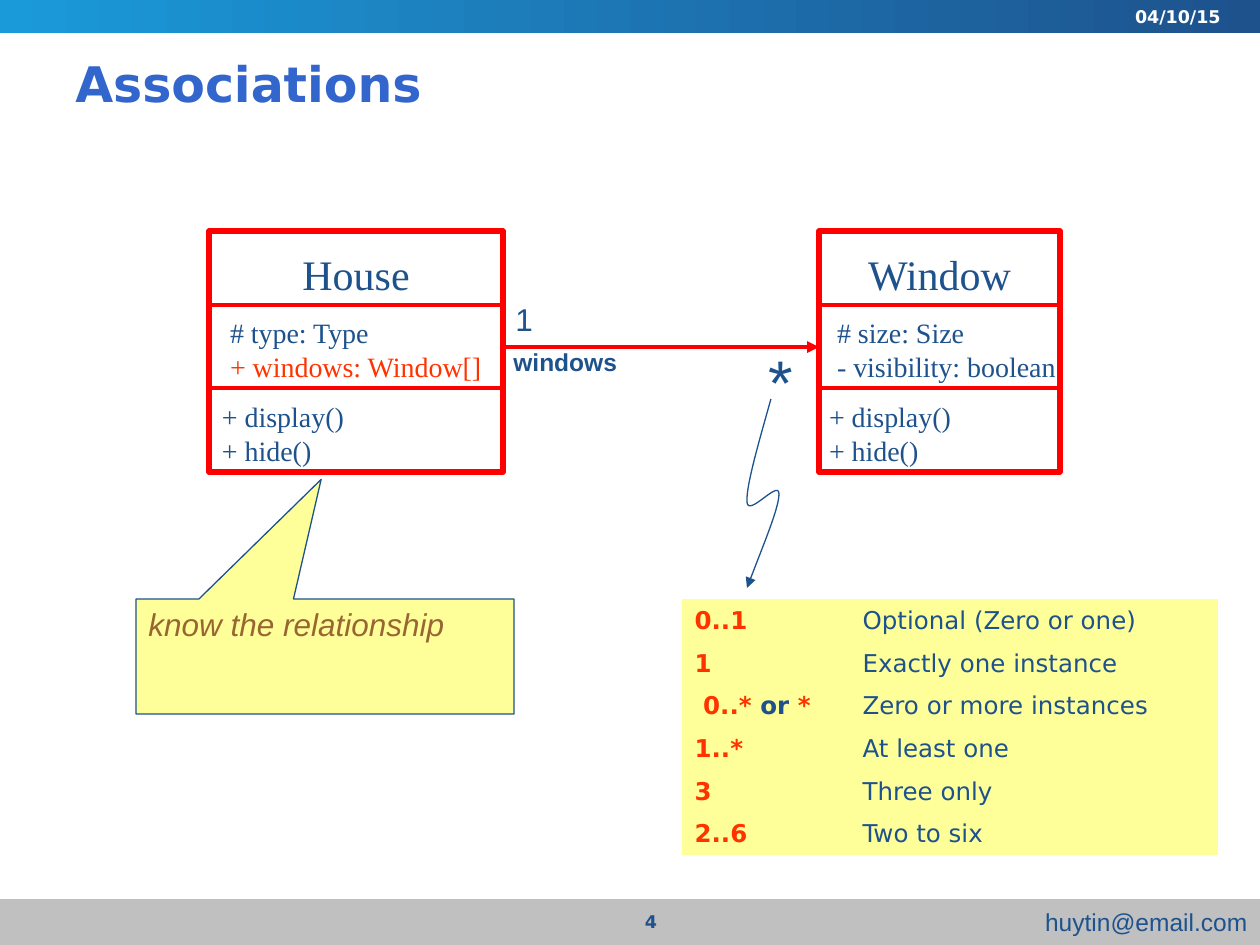
"""Build the Associations slide with two linked UML classes and a multiplicity table."""
from typing import NamedTuple

from lxml import etree
from pptx import Presentation
from pptx import util as u
from pptx.dml.color import RGBColor
from pptx.enum import shapes, text
from pptx.oxml.ns import qn

PX = 914400 / 126
NAVY = RGBColor(0x1D, 0x52, 0x8D)
SKY = RGBColor(0x1B, 0x9A, 0xD9)
TITLE_BLUE = RGBColor(0x33, 0x66, 0xCC)
RED = RGBColor(0xFF, 0x00, 0x00)
ORANGE = RGBColor(0xFF, 0x33, 0x00)
BROWN = RGBColor(0x99, 0x66, 0x33)
YELLOW = RGBColor(0xFF, 0xFF, 0x99)
GRAY = RGBColor(0xC0, 0xC0, 0xC0)
WHITE = RGBColor(0xFF, 0xFF, 0xFF)
SANS, SERIF, ARIAL = "DejaVu Sans", "Times New Roman", "Arial"
LEFT, CENTER, RIGHT = text.PP_ALIGN.LEFT, text.PP_ALIGN.CENTER, text.PP_ALIGN.RIGHT
TOP, MIDDLE = text.MSO_ANCHOR.TOP, text.MSO_ANCHOR.MIDDLE
NO_STYLE_NO_GRID = "{2D5ABB26-0587-4C30-8999-92F81FD0307C}"


class Area(NamedTuple):
    left: int
    top: int
    width: int
    height: int


class Style(NamedTuple):
    font: str
    size: int
    bold: bool = False
    italic: bool = False


class Span(NamedTuple):
    words: str
    color: RGBColor = NAVY


class UmlClass(NamedTuple):
    name: str
    left: int
    width: int
    inset: int
    attributes: list[Span]


class Label(NamedTuple):
    words: str
    area: Area
    style: Style


class Multiplicity(NamedTuple):
    notation: list[Span]
    meaning: str


CLASS_TOP, CLASS_HEIGHT = 231, 241
DIVIDERS = (305, 388)
METHODS = [Span("+ display()"), Span("+ hide()")]
CLASSES = [
    UmlClass("House", 209, 294, 13,
             [Span("# type: Type"), Span("+ windows: Window[]", ORANGE)]),
    UmlClass("Window", 819, 241, 10,
             [Span("# size: Size"), Span("- visibility: boolean")]),
]
LABELS = [
    Label("1", Area(503, 294, 43, 50), Style(ARIAL, 18)),
    Label("*", Area(756, 336, 49, 88), Style(ARIAL, 36)),
    Label("windows", Area(501, 341, 129, 43), Style(ARIAL, 14, bold=True)),
]
MULTIPLICITIES = [
    Multiplicity([Span("0..1", ORANGE)], "Optional (Zero or one)"),
    Multiplicity([Span("1", ORANGE)], "Exactly one instance"),
    Multiplicity([Span(" 0..* ", ORANGE), Span("or "), Span("*", ORANGE)],
                 "Zero or more instances"),
    Multiplicity([Span("1..*", ORANGE)], "At least one"),
    Multiplicity([Span("3", ORANGE)], "Three only"),
    Multiplicity([Span("2..6", ORANGE)], "Two to six"),
]
SQUIGGLE = [(771, 399), (759, 442), (746, 486), (747, 502), (748, 518), (779, 479),
            (779, 494), (779, 508), (762, 548), (747, 588)]


def px(length: int) -> u.Emu:
    return u.Emu(round(length * PX))


def place(area: Area) -> list[u.Emu]:
    return [px(length) for length in area]


def write(frame, spans: list[Span], style: Style, align=LEFT, stacked=False) -> None:
    para = frame.paragraphs[0]
    para.alignment = align
    for index, span in enumerate(spans):
        if stacked and index:
            para.add_line_break()
        run = para.add_run()
        run.text = span.words
        run.font.name, run.font.size = style.font, u.Pt(style.size)
        run.font.bold, run.font.italic = style.bold, style.italic
        run.font.color.rgb = span.color


def add_text(page, area: Area, spans: list[Span], style: Style, align=LEFT,
             anchor=TOP, wrap=True, padded=True, stacked=False) -> None:
    frame = page.shapes.add_textbox(*place(area)).text_frame
    frame.word_wrap = wrap
    frame.vertical_anchor = anchor
    if not padded:
        frame.margin_left = frame.margin_right = frame.margin_top = frame.margin_bottom = 0
    write(frame, spans, style, align, stacked)


def add_box(page, area: Area, preset=shapes.MSO_SHAPE.RECTANGLE):
    box = page.shapes.add_shape(preset, *place(area))
    box.shadow.inherit = False
    box.fill.background()
    box.line.fill.background()
    return box


def set_line(shape, color: RGBColor, points: float, arrow=False) -> None:
    shape.line.color.rgb = color
    shape.line.width = u.Pt(points)
    if arrow:
        etree.SubElement(shape.line._get_or_add_ln(), qn("a:tailEnd"), type="triangle")


def add_line(page, start: tuple[int, int], end: tuple[int, int], arrow=False) -> None:
    ends = [px(length) for length in (*start, *end)]
    line = page.shapes.add_connector(shapes.MSO_CONNECTOR.STRAIGHT, *ends)
    set_line(line, RED, 2.25, arrow)
    etree.SubElement(line._element.spPr, qn("a:effectLst"))


def add_class(page, item: UmlClass) -> None:
    box = add_box(page, Area(item.left, CLASS_TOP, item.width, CLASS_HEIGHT))
    set_line(box, RED, 3)
    for y in DIVIDERS:
        add_line(page, (item.left, y), (item.left + item.width, y))
    left, width = item.left + item.inset, item.width - 2 * item.inset
    add_text(page, Area(left, 242, width, 63), [Span(item.name)], Style(SERIF, 24), CENTER)
    for x, y, spans in ((left + 8, 316, item.attributes), (left, 400, METHODS)):
        add_text(page, Area(x, y, width, 67), spans, Style(SERIF, 16),
                 anchor=MIDDLE, padded=False, stacked=True)


def add_squiggle(page) -> None:
    builder = page.shapes.build_freeform(*SQUIGGLE[0], scale=PX)
    builder.add_line_segments(SQUIGGLE[1:], close=False)
    curve = builder.convert_to_shape()
    segments = list(curve._element.iter(qn("a:lnTo")))
    for first in range(0, len(segments), 3):
        bezier = etree.Element(qn("a:cubicBezTo"))
        segments[first].addprevious(bezier)
        for segment in segments[first:first + 3]:
            bezier.append(segment[0])
            segment.getparent().remove(segment)
    curve.shadow.inherit = False
    curve.fill.background()
    set_line(curve, NAVY, 0.75, arrow=True)


def add_multiplicities(page, area: Area) -> None:
    table = page.shapes.add_table(len(MULTIPLICITIES), 2, *place(area)).table
    table.first_row = table.horz_banding = False
    table._tbl.tblPr.find(qn("a:tableStyleId")).text = NO_STYLE_NO_GRID
    for column, width in zip(table.columns, (168, area.width - 168)):
        column.width = px(width)
    for row, item in zip(table.rows, MULTIPLICITIES):
        row.height = px(area.height) // len(MULTIPLICITIES)
        for cell, spans, bold in zip(row.cells, (item.notation, [Span(item.meaning)]),
                                     (True, False)):
            cell.fill.solid()
            cell.fill.fore_color.rgb = YELLOW
            cell.vertical_anchor = text.MSO_ANCHOR.BOTTOM
            write(cell.text_frame, spans, Style(SANS, 14, bold))


def add_bars(page) -> None:
    footer = add_box(page, Area(0, 899, 1260, 46))
    footer.fill.solid()
    footer.fill.fore_color.rgb = GRAY
    footer.text_frame.vertical_anchor = MIDDLE
    write(footer.text_frame, [Span("huytin@email.com")], Style(ARIAL, 14), RIGHT)
    header = add_box(page, Area(0, 0, 1260, 33))
    header.fill.gradient()
    header.fill.gradient_angle = 0
    for stop, color in zip(header.fill.gradient_stops, (SKY, NAVY)):
        stop.color.rgb = color
    small = Style(SANS, 10, bold=True)
    add_text(page, Area(945, 0, 294, 32), [Span("04/10/15 ", WHITE)], small, RIGHT)
    add_text(page, Area(504, 905, 294, 35), [Span("4")], small, CENTER)


def add_callout(page) -> None:
    callout = add_box(page, Area(136, 599, 378, 115), shapes.MSO_SHAPE.RECTANGULAR_CALLOUT)
    callout.adjustments[0], callout.adjustments[1] = -0.01, -1.54
    callout.fill.solid()
    callout.fill.fore_color.rgb = YELLOW
    set_line(callout, NAVY, 0.75)
    callout.text_frame.vertical_anchor = TOP
    write(callout.text_frame, [Span("know the relationship", BROWN)],
          Style(ARIAL, 18, italic=True))


def main() -> None:
    deck = Presentation()
    deck.slide_width, deck.slide_height = px(1260), px(945)
    page = deck.slides.add_slide(deck.slide_layouts[6])
    add_bars(page)
    add_text(page, Area(63, 44, 1134, 78), [Span("Associations", TITLE_BLUE)],
             Style(SANS, 28, bold=True), anchor=MIDDLE)
    for item in CLASSES:
        add_class(page, item)
    add_line(page, (504, 347), (819, 347), arrow=True)
    for label in LABELS:
        add_text(page, label.area, [Span(label.words)], label.style, wrap=False)
    add_multiplicities(page, Area(682, 599, 536, 256))
    add_squiggle(page)
    add_callout(page)
    deck.save("out.pptx")


if __name__ == "__main__":
    main()
